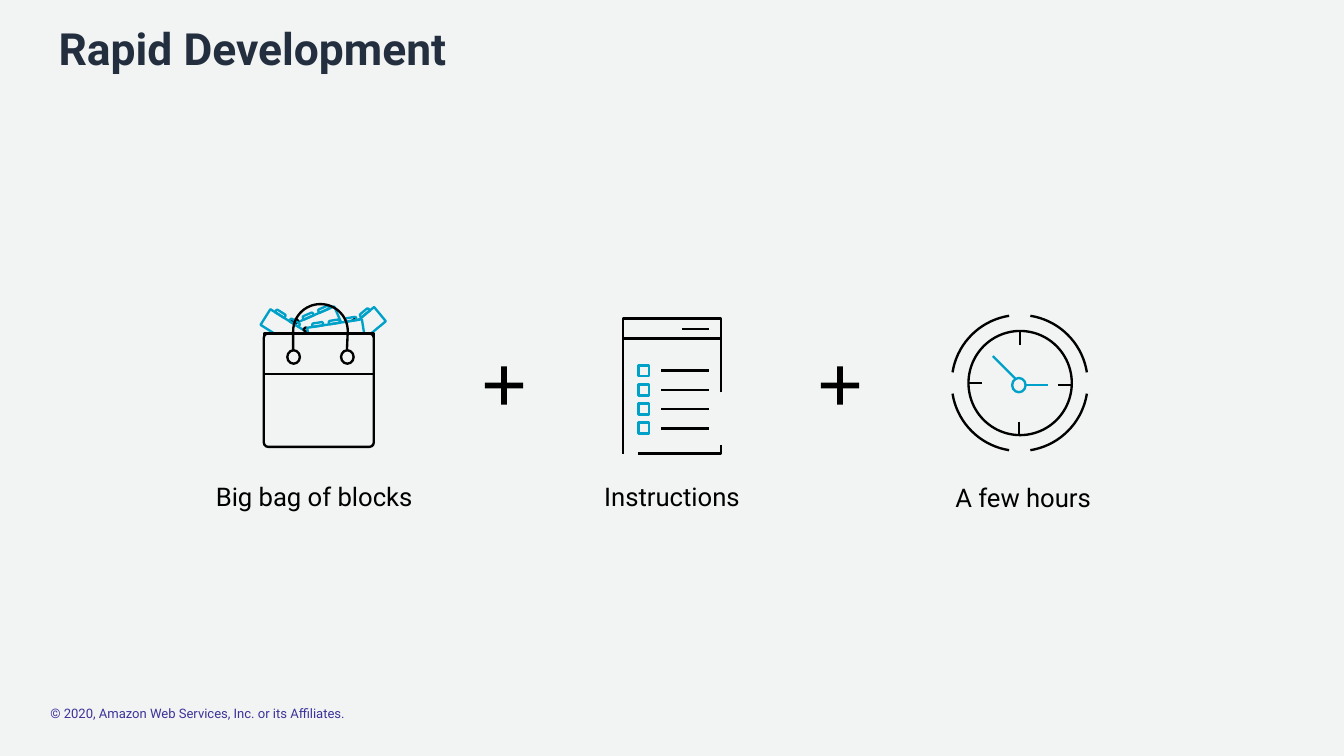
"""Build the Rapid Development slide: blocks plus instructions plus a few hours."""
import math
import pptx
import pptx.dml.color
import pptx.enum.shapes
import pptx.enum.text
import pptx.oxml
import pptx.util

Inches = pptx.util.Inches
Kind = pptx.enum.shapes.MSO_SHAPE
Align = pptx.enum.text.PP_ALIGN
RGB = pptx.dml.color.RGBColor.from_string
COLORS = {"paper": "F2F3F3", "ink": "000000", "accent": "00A1C9",
          "title": "232F3E", "footer": "3C3399"}

deck = pptx.Presentation()
deck.slide_width, deck.slide_height = Inches(16), Inches(9)
slide = deck.slides.add_slide(deck.slide_layouts[6])
slide.background.fill.solid()
slide.background.fill.fore_color.rgb = RGB(COLORS["paper"])


def write(text, box, size, color="ink", bold=False, align=Align.LEFT, inset=(0.1, 0.05)):
    frame = slide.shapes.add_textbox(*map(Inches, box)).text_frame
    frame.word_wrap = True
    frame.margin_left = frame.margin_right = Inches(inset[0])
    frame.margin_top = frame.margin_bottom = Inches(inset[1])
    paragraph = frame.paragraphs[0]
    paragraph.text = text
    paragraph.alignment = align
    paragraph.font.name = "Roboto"
    paragraph.font.size = pptx.util.Pt(size)
    paragraph.font.bold = bold
    paragraph.font.color.rgb = RGB(COLORS[color])


def draw(kind, box, line="ink", fill=None, rotation=0, adjust=None):
    shape = slide.shapes.add_shape(kind, *map(Inches, box))
    shape.shadow.inherit = False
    shape.rotation = rotation
    if adjust is not None:
        shape.adjustments[0] = adjust
    if fill:
        shape.fill.solid()
        shape.fill.fore_color.rgb = RGB(COLORS[fill])
    else:
        shape.fill.background()
    if line:
        shape.line.color.rgb = RGB(COLORS[line])
        shape.line.width = pptx.util.Pt(2)
    else:
        shape.line.fill.background()


write("Rapid Development", (0.6, 0.2, 14.78, 0.95), 38, "title", bold=True)
write("© 2020, Amazon Web Services, Inc. or its Affiliates.",
      (0.6, 8.4, 7.78, 0.19), 11.2, "footer", inset=(0, 0))
for label, left, top, width in [("Big bag of blocks", 2.28, 5.67, 2.92),
                                ("Instructions", 6.87, 5.67, 2.26),
                                ("A few hours", 11.18, 5.69, 2)]:
    write(label, (left, top, width, 0.47), 22, align=Align.CENTER)
for plus_left in (5.69, 9.69):
    draw(Kind.MATH_PLUS, (plus_left, 4.28, 0.62, 0.62), line=None, fill="ink", adjust=0.108)

blocks = [(3.72, 3.88, -23.5, None, ("ink", "accent", "accent")),
          (3.44, 3.95, 32.1, "paper", ("accent", "accent", "ink")),
          (4.27, 3.95, -39.6, None, ("ink", "ink", "accent")),
          (4.0, 3.96, -8.9, "paper", ("accent", "accent", "accent"))]
for x, y, tilt, block_fill, stud_colors in blocks:
    draw(Kind.RECTANGLE, (x - 0.33, y - 0.11, 0.66, 0.22), "accent", block_fill, tilt)
    cos, sin = math.cos(math.radians(tilt)), math.sin(math.radians(tilt))
    for along, stud_color in zip((-0.2, 0, 0.2), stud_colors):
        stud_x = x + along * cos + 0.13 * sin
        stud_y = y + along * sin - 0.13 * cos
        draw(Kind.ROUND_2_SAME_RECTANGLE, (stud_x - 0.065, stud_y - 0.02, 0.13, 0.04),
             stud_color, rotation=tilt, adjust=0.4)

draw(Kind.RECTANGLE, (3.14, 3.97, 1.31, 0.48), fill="paper")
draw(Kind.ROUNDED_RECTANGLE, (3.14, 3.97, 1.31, 1.35), adjust=0.04)
for ring_left in (3.42, 4.06):
    draw(Kind.OVAL, (ring_left, 4.17, 0.15, 0.16))
handle = [(3.49, 4.17)]
for degrees in range(180, 361, 6):
    angle = math.radians(degrees)
    handle.append((3.815 + 0.325 * math.cos(angle), 3.94 + 0.32 * math.sin(angle)))
handle.append((4.13, 4.17))

CLOCK_X, CLOCK_Y, RIM = 12.14, 4.56, 0.81
outlines = [handle,
            [(8.58, 4.67), (8.58, 3.79), (7.42, 3.79), (7.42, 5.41)],
            [(7.6, 5.4), (8.58, 5.4), (8.58, 5.3)]]
for quarter in range(4):
    angles = [math.radians(quarter * 90 + 9 + 4 * step) for step in range(19)]
    outlines.append([(CLOCK_X + RIM * math.cos(a), CLOCK_Y + RIM * math.sin(a)) for a in angles])
for points in outlines:
    start, *rest = [(Inches(x), Inches(y)) for x, y in points]
    builder = slide.shapes.build_freeform(*start)
    builder.add_line_segments(rest, close=False)
    outline = builder.convert_to_shape()
    outline.shadow.inherit = False
    outline.fill.background()
    outline.line.color.rgb = RGB(COLORS["ink"])
    outline.line.width = pptx.util.Pt(2)

draw(Kind.OVAL, (11.53, 3.94, 1.23, 1.24))
draw(Kind.OVAL, (12.05, 4.5, 0.16, 0.17), "accent")

page_header = [(7.42, 4.03, 8.58, 4.03, "ink"), (8.12, 3.92, 8.44, 3.92, "ink")]
clock_ticks = [(11.54, 4.56, 11.69, 4.56, "ink"), (12.6, 4.58, 12.76, 4.58, "ink"),
               (12.14, 3.95, 12.14, 4.11, "ink"), (12.13, 5.02, 12.13, 5.18, "ink")]
clock_hands = [(11.82, 4.24, 12.09, 4.51, "accent"), (12.22, 4.58, 12.48, 4.58, "accent")]
checklist = []
for row in range(4):
    draw(Kind.RECTANGLE, (7.6, 4.35 + 0.227 * row, 0.13, 0.13), "accent")
    row_y = 4.41 + 0.23 * row
    checklist.append((7.87, row_y, 8.44, row_y, "ink"))
for *ends, color in page_header + checklist + clock_ticks + clock_hands:
    stroke = slide.shapes.add_connector(pptx.enum.shapes.MSO_CONNECTOR.STRAIGHT,
                                        *map(Inches, ends))
    stroke.line.color.rgb = RGB(COLORS[color])
    stroke.line.width = pptx.util.Pt(2)
    stroke._element.spPr.append(pptx.oxml.parse_xml(
        '<a:effectLst xmlns:a="http://schemas.openxmlformats.org/drawingml/2006/main"/>'))

deck.save("out.pptx")
